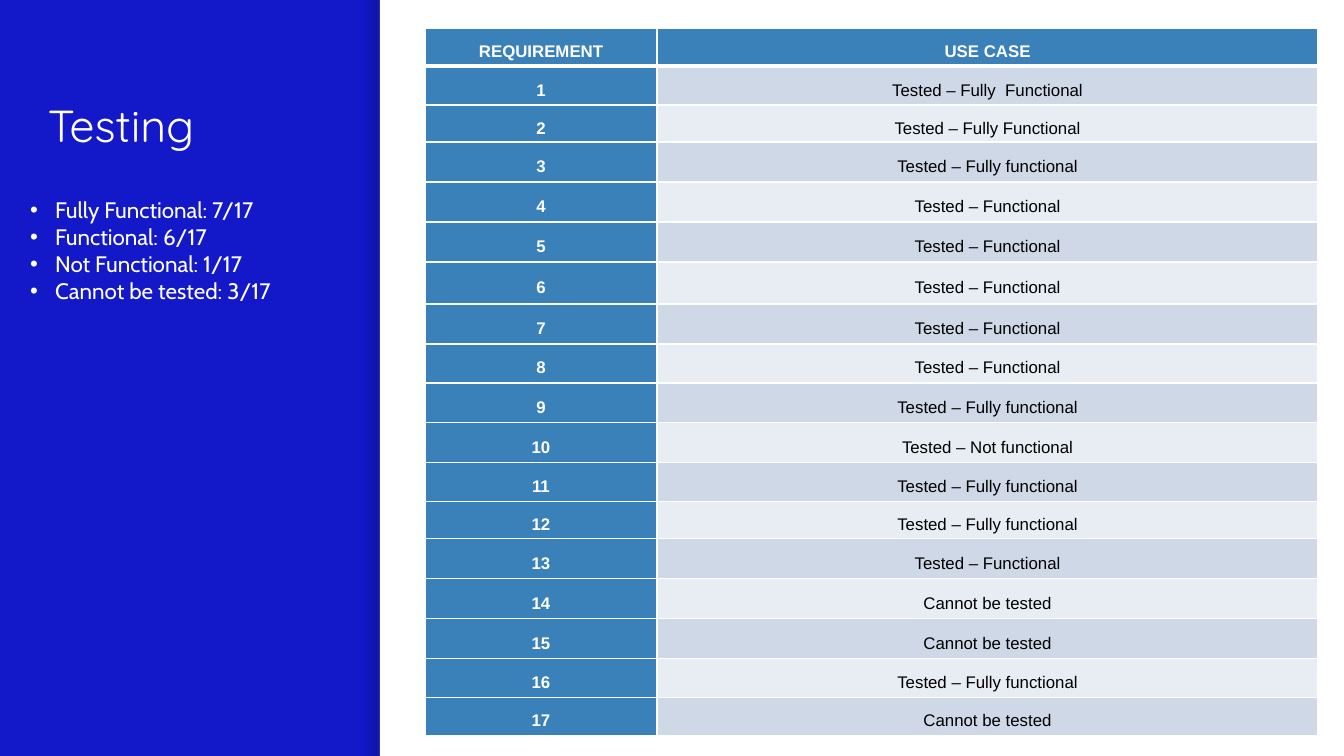
"""Build the Testing slide: a results summary beside a table of requirements."""
from lxml import etree
from pptx import Presentation, util as u
from pptx.dml.color import RGBColor
from pptx.enum import shapes, text
from pptx.oxml.ns import qn

SCALE = 9144000 / 1344
WIDTH, HEIGHT = 1344, 756
COLORS = {
    "panel": "1318C8", "white": "FFFFFF", "black": "000000", "shade": "000014",
    "blue": "3A81BA", "odd": "CED8E7", "even": "E8EDF3",
}
FULL, PART = "Tested – Fully functional", "Tested – Functional"
FAILED, UNTESTED = "Tested – Not functional", "Cannot be tested"
USE_CASES = [
    "Tested – Fully  Functional", "Tested – Fully Functional", FULL,
    PART, PART, PART, PART, PART, FULL, FAILED, FULL, FULL, PART,
    UNTESTED, UNTESTED, FULL, UNTESTED,
]
ROW_HEIGHTS = [38, 39, 37, 40, 40, 40, 42, 40, 39, 40, 40, 39, 37, 40, 40, 40, 39, 38]
SUMMARY = ["Fully Functional: 7/17", "Functional: 6/17",
           "Not Functional: 1/17", "Cannot be tested: 3/17"]


def px(length):
    return u.Emu(round(length * SCALE))


def rgb(name):
    return RGBColor.from_string(COLORS[name])


class Deck:
    def __init__(self):
        self.presentation = Presentation()
        self.presentation.slide_width = px(WIDTH)
        self.presentation.slide_height = px(HEIGHT)
        self.slide = self.presentation.slides.add_slide(self.presentation.slide_layouts[5])
        background = self.slide.background.fill
        background.solid()
        background.fore_color.rgb = rgb("panel")

    def style(self, paragraph, font, size, color, bold=False, align=text.PP_ALIGN.LEFT):
        paragraph.alignment = align
        paragraph.font.name = font
        paragraph.font.size = u.Pt(size)
        paragraph.font.bold = bold
        paragraph.font.color.rgb = rgb(color)

    def rectangle(self, *box):
        rectangle = self.slide.shapes.add_shape(shapes.MSO_SHAPE.RECTANGLE, *map(px, box))
        rectangle.shadow.inherit = False
        rectangle.line.fill.background()
        return rectangle

    def panel(self, color, *box):
        fill = self.rectangle(*box).fill
        fill.solid()
        fill.fore_color.rgb = rgb(color)

    def edge_shade(self, color, opacity, *box):
        shade = self.rectangle(*box)
        shade.fill.gradient()
        shade.fill.gradient_angle = 0
        for stop in shade.fill.gradient_stops:
            stop.color.rgb = rgb(color)
        stop_colors = shade._element.spPr.iter(qn("a:srgbClr"))
        for stop_color, alpha in zip(stop_colors, (0, opacity)):
            etree.SubElement(stop_color, qn("a:alpha"), val=str(alpha * 1000))

    def title(self, words, *box):
        title = self.slide.shapes.title
        title.left, title.top, title.width, title.height = map(px, box)
        frame = title.text_frame
        frame.text = words
        frame.auto_size = text.MSO_AUTO_SIZE.NONE
        frame.vertical_anchor = text.MSO_ANCHOR.TOP
        frame.margin_left = frame.margin_top = frame.margin_right = frame.margin_bottom = px(13)
        self.style(frame.paragraphs[0], "Quicksand", 24, "white")

    def bullets(self, items, *box):
        frame = self.slide.shapes.add_textbox(*map(px, box)).text_frame
        frame.word_wrap = True
        frame.text = "\n".join(items)
        indent = px(25)
        for paragraph in frame.paragraphs:
            properties = paragraph._p.get_or_add_pPr()
            properties.set("marL", str(indent))
            properties.set("indent", str(-indent))
            etree.SubElement(properties, qn("a:buFont"), typeface="Arial")
            etree.SubElement(properties, qn("a:buChar"), char="•")
            self.style(paragraph, "Cabin", 12, "white")

    def cell(self, cell, words, fill, color, bold, top, bottom):
        cell.text = words
        cell.vertical_anchor = text.MSO_ANCHOR.MIDDLE
        cell.margin_left = cell.margin_right = px(9)
        cell.margin_top = cell.margin_bottom = 0
        paragraph = cell.text_frame.paragraphs[0]
        paragraph.line_spacing = 1.5
        self.style(paragraph, "Arial", 9, color, bold, text.PP_ALIGN.CENTER)
        properties = cell._tc.get_or_add_tcPr()
        for side, width in (("L", 1), ("R", 1), ("T", top), ("B", bottom)):
            border = etree.SubElement(properties, qn(f"a:ln{side}"), w=str(u.Pt(width)))
            solid = etree.SubElement(border, qn("a:solidFill"))
            etree.SubElement(solid, qn("a:srgbClr"), val=COLORS["white"])
        cell.fill.solid()
        cell.fill.fore_color.rgb = rgb(fill)

    def table(self, rows, widths, heights, left, top):
        box = map(px, (left, top, sum(widths), sum(heights)))
        table = self.slide.shapes.add_table(len(rows), len(widths), *box).table
        table.first_col = True
        for column, width in zip(table.columns, widths):
            column.width = px(width)
        for r, (words, height) in enumerate(zip(rows, heights)):
            table.rows[r].height = px(height)
            for c, word in enumerate(words):
                heading = r == 0 or c == 0
                fill = "blue" if heading else ("odd" if r % 2 else "even")
                self.cell(table.cell(r, c), word, fill, "white" if heading else "black",
                          heading, 3 if r == 1 else 1, 3 if r == 0 else 1)


def main():
    deck = Deck()
    deck.edge_shade("shade", 20, 363, 0, 17, HEIGHT)
    deck.panel("white", 380, 0, WIDTH - 380, HEIGHT)
    deck.title("Testing", 35, 85, 301, 585)
    results = [(str(n), use_case) for n, use_case in enumerate(USE_CASES, 1)]
    deck.table([("REQUIREMENT", "USE CASE"), *results], [232, 661], ROW_HEIGHTS, 425, 28)
    deck.bullets(SUMMARY, 17, 190, 323, 203)
    deck.presentation.save("out.pptx")


if __name__ == "__main__":
    main()
